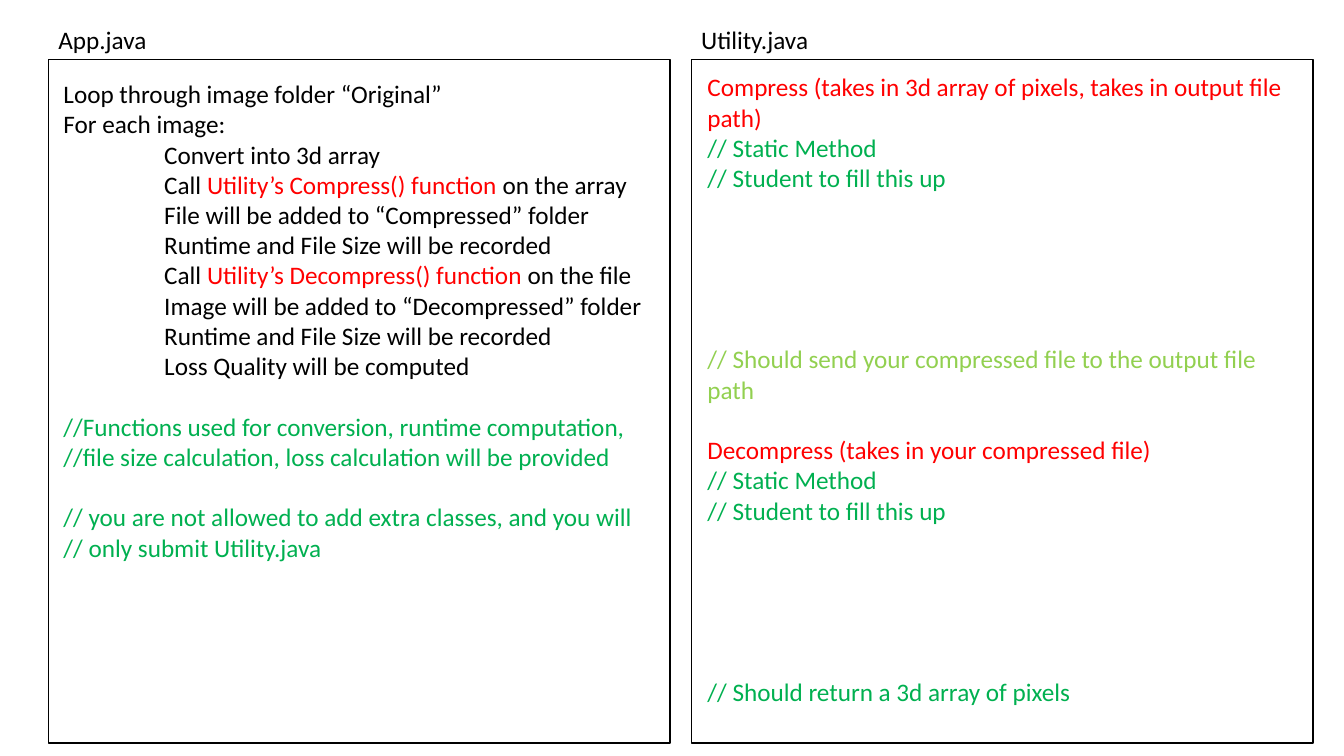
from pptx import Presentation
from pptx import util as u
from pptx.dml.color import RGBColor
from pptx.enum import shapes

COLORS = {"black": "000000", "red": "FF0000", "green": "00B050", "lime": "92D050"}
LINE_PITCH = 21.6
INDENT = u.Cm(2.54)


def line(*runs, gap=0, indent=0):
    """Describe a line: its (text, colour) runs, lines of space above, indent level."""
    return runs, gap, indent


def step(*runs):
    """Describe an indented line of the loop body."""
    return line(*runs, indent=1)


def call(name, target):
    """Describe a step that calls one of the utility functions."""
    return step(("Call ", "black"), (f"Utility’s {name}() function ", "red"),
                (f"on the {target}", "black"))


def method(signature, result, color, gap):
    """Describe a method for the student to fill in."""
    return [
        line((signature, "red"), gap=gap),
        line(("// Static Method", "green")),
        line(("// Student to fill this up", "green")),
        line((result, color), gap=5),
    ]


APP = [
    line(("Loop through image folder “Original”", "black")),
    line(("For each image:", "black")),
    step(("Convert into 3d array", "black")),
    call("Compress", "array"),
    step(("File will be added to “Compressed” folder", "black")),
    step(("Runtime and File Size will be recorded", "black")),
    call("Decompress", "file"),
    step(("Image will be added to “Decompressed” folder", "black")),
    step(("Runtime and File Size will be recorded", "black")),
    step(("Loss Quality will be computed", "black")),
    line(("//Functions used for conversion, runtime computation,", "green"), gap=1),
    line(("//file size calculation, loss calculation will be provided", "green")),
    line(("// you are not allowed to add extra classes, and you will", "green"), gap=1),
    line(("// only submit Utility.java", "green")),
]
UTILITY = method(
    "Compress (takes in 3d array of pixels, takes in output file path)",
    "// Should send your compressed file to the output file path", "lime", 0,
) + method(
    "Decompress (takes in your compressed file)",
    "// Should return a 3d array of pixels", "green", 1,
)


def add_text(s, box, lines, wrap):
    """Write the lines into a text box."""
    tf = s.shapes.add_textbox(*box).text_frame
    tf.word_wrap = wrap
    for i, (runs, gap, indent) in enumerate(lines):
        p = tf.paragraphs[0] if i == 0 else tf.add_paragraph()
        p.space_before = u.Pt(gap * LINE_PITCH)
        if indent:
            p._p.get_or_add_pPr().set("marL", str(indent * INDENT))
        for content, color in runs:
            r = p.add_run()
            r.text = content
            r.font.name = "Calibri"
            r.font.size = u.Pt(18)
            r.font.color.rgb = RGBColor.from_string(COLORS[color])


def add_panel(s, box, name, name_width, lines, inset, text_size):
    """Draw a framed file panel with its name above and its lines inside."""
    left, top, width, height = box
    sp = s.shapes.add_shape(shapes.MSO_SHAPE.RECTANGLE, left, top, width, height)
    sp.shadow.inherit = False
    sp.fill.background()
    sp.line.color.rgb = RGBColor.from_string(COLORS["black"])
    sp.line.width = u.Pt(1)
    name_height = u.Cm(1.02)
    add_text(s, (left, top - name_height, name_width, name_height),
             [line((name, "black"))], False)
    dx, dy = inset
    add_text(s, (left + dx, top + dy, *text_size), lines, True)


def main():
    """Build and save the slide."""
    prs = Presentation()
    prs.slide_width, prs.slide_height = u.Cm(33.87), u.Cm(19.05)
    s = prs.slides.add_slide(prs.slide_layouts[6])
    top, width, height = u.Cm(1.5), u.Cm(15.67), u.Cm(17.22)
    add_panel(s, (u.Cm(1.22), top, width, height), "App.java", u.Cm(2.74), APP,
              (u.Cm(0.13), u.Cm(0.35)), (u.Cm(15.27), u.Cm(13.34)))
    add_panel(s, (u.Cm(17.42), top, width, height), "Utility.java", u.Cm(3.23), UTILITY,
              (u.Cm(0.16), u.Cm(0.18)), (u.Cm(15.06), u.Cm(16.8)))
    prs.save("out.pptx")


if __name__ == "__main__":
    main()
